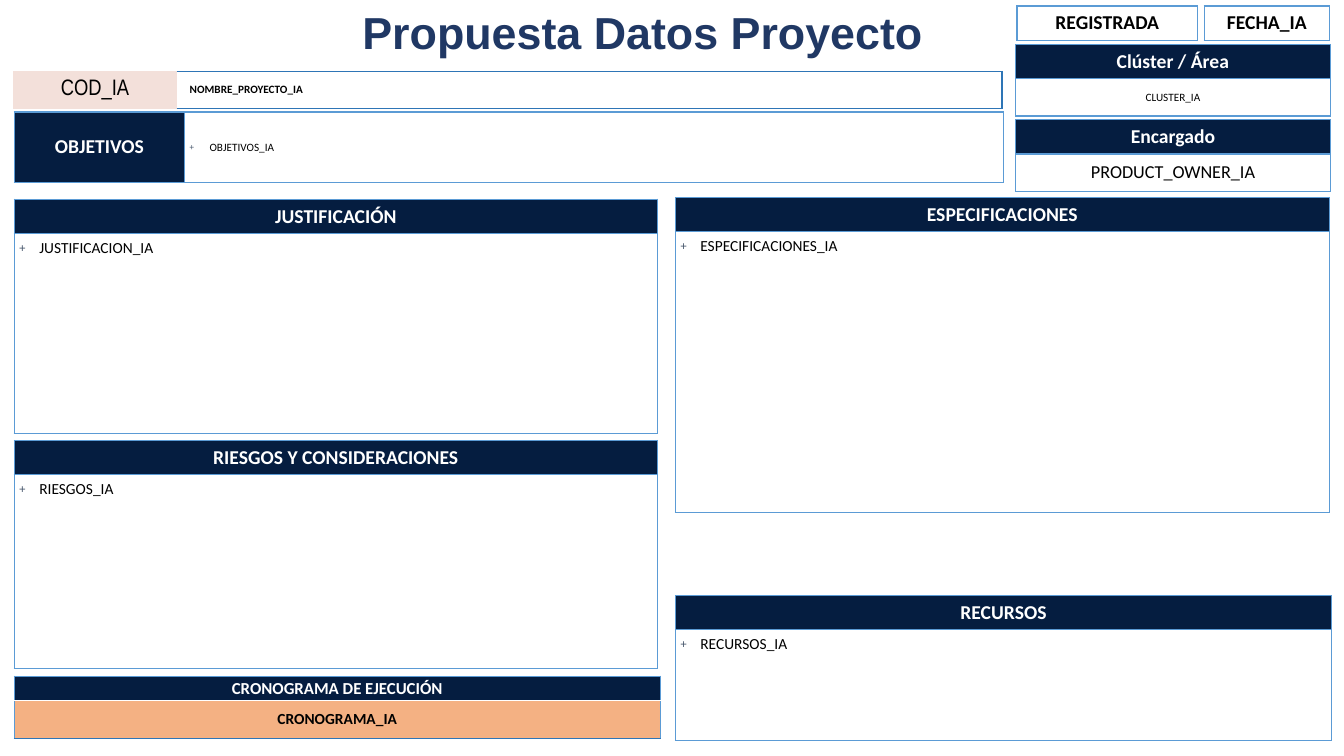
from lxml import etree
from pptx import Presentation
from pptx import util as u
from pptx.dml.color import RGBColor
from pptx.enum import text
from pptx.oxml.ns import qn

NAVY = RGBColor(0x05, 0x1D, 0x40)
TITLE_BLUE = RGBColor(0x20, 0x38, 0x64)
EDGE = RGBColor(0x5B, 0x9B, 0xD5)
DARK_EDGE = RGBColor(0x2E, 0x75, 0xB6)
SLATE = RGBColor(0x44, 0x54, 0x6A)
ROSE = RGBColor(0xF3, 0xE0, 0xDA)
ORANGE = RGBColor(0xF4, 0xB1, 0x83)
WHITE = RGBColor(0xFF, 0xFF, 0xFF)
BLACK = RGBColor(0, 0, 0)

CENTER, LEFT = text.PP_ALIGN.CENTER, text.PP_ALIGN.LEFT
JUSTIFY = text.PP_ALIGN.JUSTIFY
MIDDLE, TOP = text.MSO_ANCHOR.MIDDLE, text.MSO_ANCHOR.TOP
BOX = {side: (EDGE, 1) for side in "LRTB"}
INSET = 0.13
HEAD_H, VALUE_H = 0.86, 0.94


def add(parent, tag, **attrs):
    return etree.SubElement(parent, qn(tag), attrs)


def write(tf, content, size=11, font="Calibri", color=BLACK, bold=False,
          align=CENTER, bullet=False, indent=0, before=0):
    """Fill a text frame with one formatted paragraph."""
    p = tf.paragraphs[0]
    p.alignment = align
    p.space_before = u.Pt(before)
    r = p.add_run()
    r.text = content
    r.font.size, r.font.name, r.font.bold = u.Pt(size), font, bold
    r.font.color.rgb = color
    pPr = p._p.get_or_add_pPr()
    if indent:
        pPr.set("marL", str(u.Cm(indent)))
    if bullet:
        pPr.set("marL", str(u.Cm(0.5)))
        pPr.set("indent", str(-u.Cm(0.5)))
        add(add(pPr, "a:buClr"), "a:srgbClr", val=str(SLATE))
        add(pPr, "a:buSzPct", val="80000")
        add(pPr, "a:buFont", typeface="Calibri")
        add(pPr, "a:buChar", char="+")


def cell(content, fill=WHITE, anchor=MIDDLE, edges=BOX, inset_x=INSET,
         inset_y=INSET, **fmt):
    """Describe one table cell."""
    return dict(content=content, fill=fill, anchor=anchor, edges=edges,
                inset_x=inset_x, inset_y=inset_y, fmt=fmt)


def head(content, size=14, **options):
    return cell(content, fill=NAVY, size=size, color=WHITE, bold=True, **options)


class Sheet:
    """Holds the current slide and draws its parts in the sheet's style."""

    def __init__(self, prs):
        self.s = prs.slides.add_slide(prs.slide_layouts[5])

    def title(self, content, left, top, width, height):
        sp = self.s.shapes.title
        sp.left, sp.top, sp.width, sp.height = map(
            u.Cm, (left, top, width, height))
        tf = sp.text_frame
        tf.margin_left = tf.margin_right = u.Cm(INSET)
        tf.margin_top = tf.margin_bottom = u.Cm(INSET)
        tf.vertical_anchor = MIDDLE
        write(tf, content, size=32, font="Arial", color=TITLE_BLUE, bold=True)

    def table(self, left, top, widths, heights, rows):
        frame = self.s.shapes.add_table(
            len(heights), len(widths), u.Cm(left), u.Cm(top),
            u.Cm(sum(widths)), u.Cm(sum(heights)))
        table = frame.table
        table.first_row = table.horz_banding = False
        for column, width in zip(table.columns, widths):
            column.width = u.Cm(width)
        for row, height, cells in zip(table.rows, heights, rows):
            row.height = u.Cm(height)
            for target, look in zip(row.cells, cells):
                self.fill_cell(target, look)

    def fill_cell(self, target, look):
        target.margin_left = target.margin_right = u.Cm(look["inset_x"])
        target.margin_top = target.margin_bottom = u.Cm(look["inset_y"])
        target.vertical_anchor = look["anchor"]
        self.borders(target, look["edges"])
        target.fill.solid()
        target.fill.fore_color.rgb = look["fill"]
        write(target.text_frame, look["content"], **look["fmt"])

    def borders(self, target, edges):
        tcPr = target._tc.get_or_add_tcPr()
        for side in "LRTB":
            color, width = edges.get(side, (None, 0))
            ln = add(tcPr, "a:ln" + side, w=str(u.Pt(width)))
            if color is None:
                add(ln, "a:noFill")
            else:
                add(add(ln, "a:solidFill"), "a:srgbClr", val=str(color))

    def panel(self, left, top, width, heights, heading, body):
        """A heading cell stacked on a body cell."""
        self.table(left, top, [width], heights, [[heading], [body]])


def main():
    prs = Presentation()
    prs.slide_width, prs.slide_height = u.Cm(33.87), u.Cm(19.05)
    sheet = Sheet(prs)
    sheet.title("Propuesta Datos Proyecto", 8.15, -0.03, 16.1, 1.63)

    # Project code and name
    name_edges = {side: (DARK_EDGE, 1) for side in "RTB"}
    sheet.table(0.34, 1.8, [4.11, 20.8], [VALUE_H], [[
        cell("COD_IA", fill=ROSE, edges={}, size=16, font="Arial Narrow"),
        cell("NOMBRE_PROYECTO_IA", edges=name_edges, inset_x=0.03,
             inset_y=0.02, size=8, bold=True, align=LEFT, indent=0.3)]])

    # Objectives
    sheet.table(0.36, 2.82, [4.29, 20.65], [1.78], [[
        head("OBJETIVOS"),
        cell("OBJETIVOS_IA", size=8, align=LEFT, bullet=True, before=1)]])

    # Status and date
    for content, left, width in (("REGISTRADA", 25.63, 4.55),
                                 ("FECHA_IA", 30.35, 3.15)):
        sheet.table(left, 0.15, [width], [HEAD_H],
                    [[cell(content, size=14, bold=True)]])

    # Cluster and owner
    for heading, value, size, top in (
            ("Clúster / Área", "CLUSTER_IA", 8, 1.12),
            ("Encargado", "PRODUCT_OWNER_IA", 13, 3.02)):
        sheet.panel(25.6, top, 7.92, [HEAD_H, VALUE_H],
                    head(heading), cell(value, size=size))

    # Bulleted panels
    for heading, body, align, left, top, width, height in (
            ("JUSTIFICACIÓN", "JUSTIFICACION_IA", JUSTIFY, 0.36, 5.02, 16.21, 5.05),
            ("RIESGOS Y CONSIDERACIONES", "RIESGOS_IA", LEFT, 0.36, 11.1, 16.21, 4.88),
            ("ESPECIFICACIONES", "ESPECIFICACIONES_IA", JUSTIFY, 17.02, 4.98, 16.48, 7.07),
            ("RECURSOS", "RECURSOS_IA", LEFT, 17.02, 15.01, 16.54, 2.79)):
        sheet.panel(left, top, width, [HEAD_H, height], head(heading),
                    cell(body, anchor=TOP, align=align, bullet=True))

    # Schedule
    sheet.panel(0.36, 17.04, 16.28, [0.61, VALUE_H],
                head("CRONOGRAMA DE EJECUCIÓN", size=12, inset_y=0.05,
                     edges={**BOX, "B": (WHITE, 1)}),
                cell("CRONOGRAMA_IA", fill=ORANGE, inset_y=0.05, bold=True,
                     edges={**BOX, "T": (WHITE, 1), "B": (DARK_EDGE, 0.5)}))

    prs.save("out.pptx")


if __name__ == "__main__":
    main()
